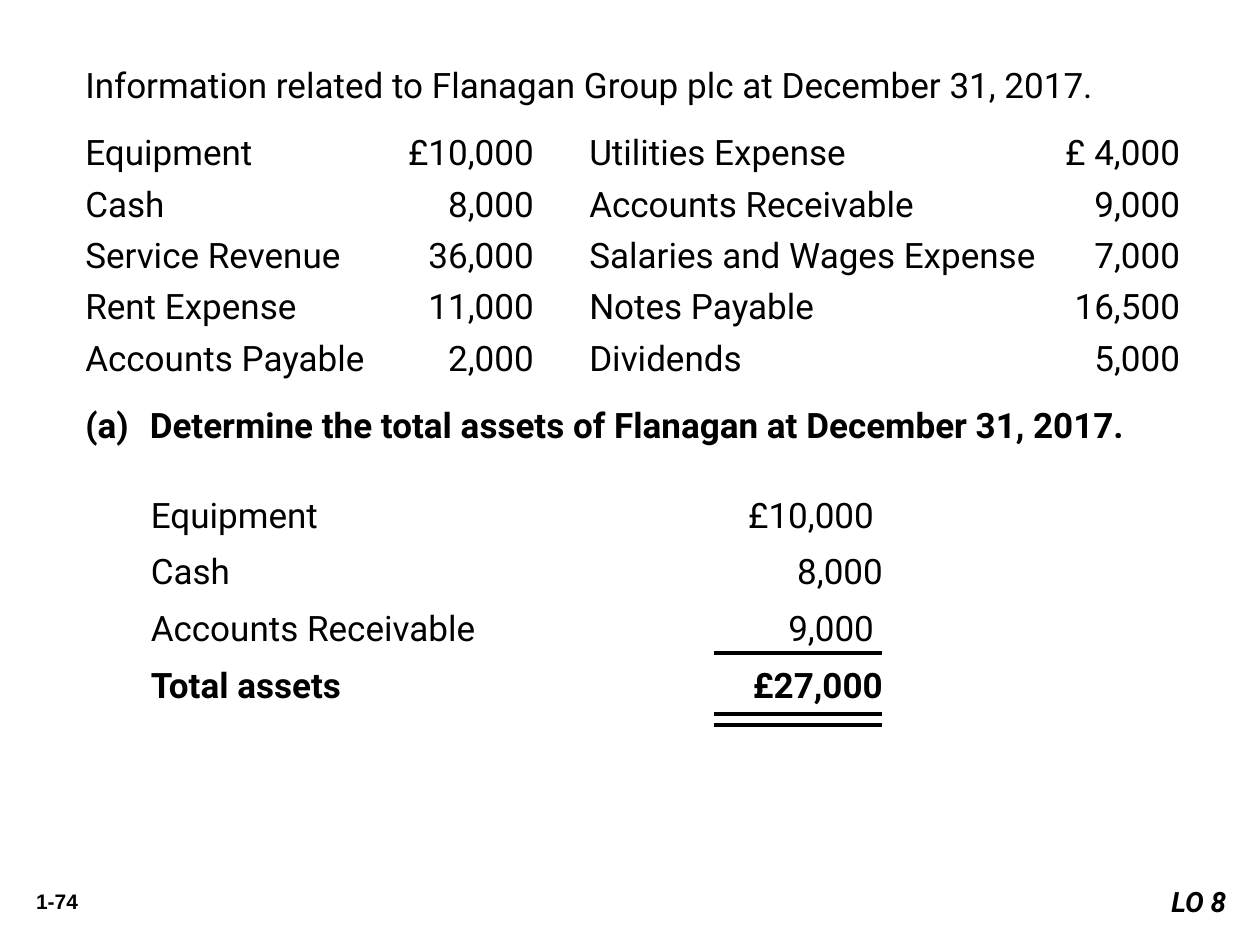
from lxml.etree import SubElement
from pptx import Presentation
from pptx.dml.color import RGBColor
from pptx.enum.shapes import MSO_CONNECTOR, MSO_SHAPE
from pptx.enum.text import MSO_ANCHOR, PP_ALIGN
from pptx.oxml.ns import qn
from pptx.util import Cm, Pt

BLACK = RGBColor(0, 0, 0)
WHITE = RGBColor(255, 255, 255)
LEDGER_TABS = [(9.22, "r"), (10.16, "l"), (22.07, "r")]
BALANCES = [
    ("Equipment", "£10,000", "Utilities Expense", "£ 4,000"),
    ("Cash", "8,000", "Accounts Receivable", "9,000"),
    ("Service Revenue", "36,000", "Salaries and Wages Expense", "7,000"),
    ("Rent Expense", "11,000", "Notes Payable", "16,500"),
    ("Accounts Payable", "2,000", "Dividends", "5,000"),
]
ASSETS = [
    ("Equipment", "£10,000", 14.58, False),
    ("Cash", "8,000", 14.76, False),
    ("Accounts Receivable", "9,000", 14.58, False),
    ("Total assets", "£27,000", 14.76, True),
]


def format_font(font, **values):
    font.color.rgb = BLACK
    for name, value in values.items():
        setattr(font, name, value)


def add_text_box(slide, box):
    tf = slide.shapes.add_textbox(*map(Cm, box)).text_frame
    tf.word_wrap = True
    return tf


def add_line(tf, text, before, tabs=(), hanging=0, bold=False):
    first = not tf.text
    p = tf.paragraphs[0] if first else tf.add_paragraph()
    pPr = p._p.get_or_add_pPr()
    if hanging:
        pPr.set("marL", str(Cm(hanging)))
        pPr.set("indent", str(-Cm(hanging)))
    if tabs:
        tab_list = SubElement(pPr, qn("a:tabLst"))
        for pos, align in tabs:
            SubElement(tab_list, qn("a:tab"), pos=str(Cm(pos)), algn=align)
    p.line_spacing = 1.1
    p.space_before = Pt(0 if first else before)
    r = p.add_run()
    r.text = text
    format_font(r.font, name="Roboto", size=Pt(20), bold=bold)


def add_question(slide, box):
    tf = add_text_box(slide, box)
    add_line(tf, "Information related to Flanagan Group plc at December 31, 2017.", 0)
    for i, row in enumerate(BALANCES):
        add_line(tf, " \t".join(row), 3 if i else 12, LEDGER_TABS)
    add_line(tf, "(a) \tDetermine the total assets of Flanagan at December 31, 2017.",
             12, hanging=1.3, bold=True)


def add_answer(slide, box):
    tf = add_text_box(slide, box)
    for label, amount, tab, bold in ASSETS:
        add_line(tf, f"{label}\t{amount}", 6, [(tab, "r")], bold=bold)
    left, top = box[:2]
    for y in (3.43, 4.67, 4.88):
        rule = slide.shapes.add_connector(
            MSO_CONNECTOR.STRAIGHT,
            Cm(left + 11.61), Cm(top + y), Cm(left + 14.99), Cm(top + y))
        rule.line.color.rgb = BLACK
        rule.line.width = Pt(2.25)
        SubElement(rule._element.spPr, qn("a:effectLst"))


def add_page_number(slide, box):
    p = add_text_box(slide, box).paragraphs[0]
    p.alignment = PP_ALIGN.CENTER
    r = p.add_run()
    r.text = "1-74"
    format_font(r.font, name="Arial", size=Pt(12), bold=True)


def add_objective(slide, box):
    sp = slide.shapes.add_shape(MSO_SHAPE.RECTANGLE, *map(Cm, box))
    sp.shadow.inherit = False
    sp.fill.solid()
    sp.fill.fore_color.rgb = WHITE
    sp.line.fill.background()
    tf = sp.text_frame
    tf.vertical_anchor = MSO_ANCHOR.MIDDLE
    p = tf.paragraphs[0]
    p.alignment = PP_ALIGN.RIGHT
    r = p.add_run()
    r.text = "LO 8"
    format_font(r.font, name="Roboto", size=Pt(16), bold=True, italic=True)


def main():
    prs = Presentation()
    prs.slide_width, prs.slide_height = Cm(25.4), Cm(19.05)
    s = prs.slides.add_slide(prs.slide_layouts[6])
    add_page_number(s, (0.2, 17.78, 1.9, 0.76))
    add_objective(s, (22.86, 17.7, 2.11, 0.94))
    add_question(s, (1.47, 1.07, 22.86, 8.13))
    add_answer(s, (2.79, 9.73, 20.12, 4.65))
    prs.save("out.pptx")


if __name__ == "__main__":
    main()
